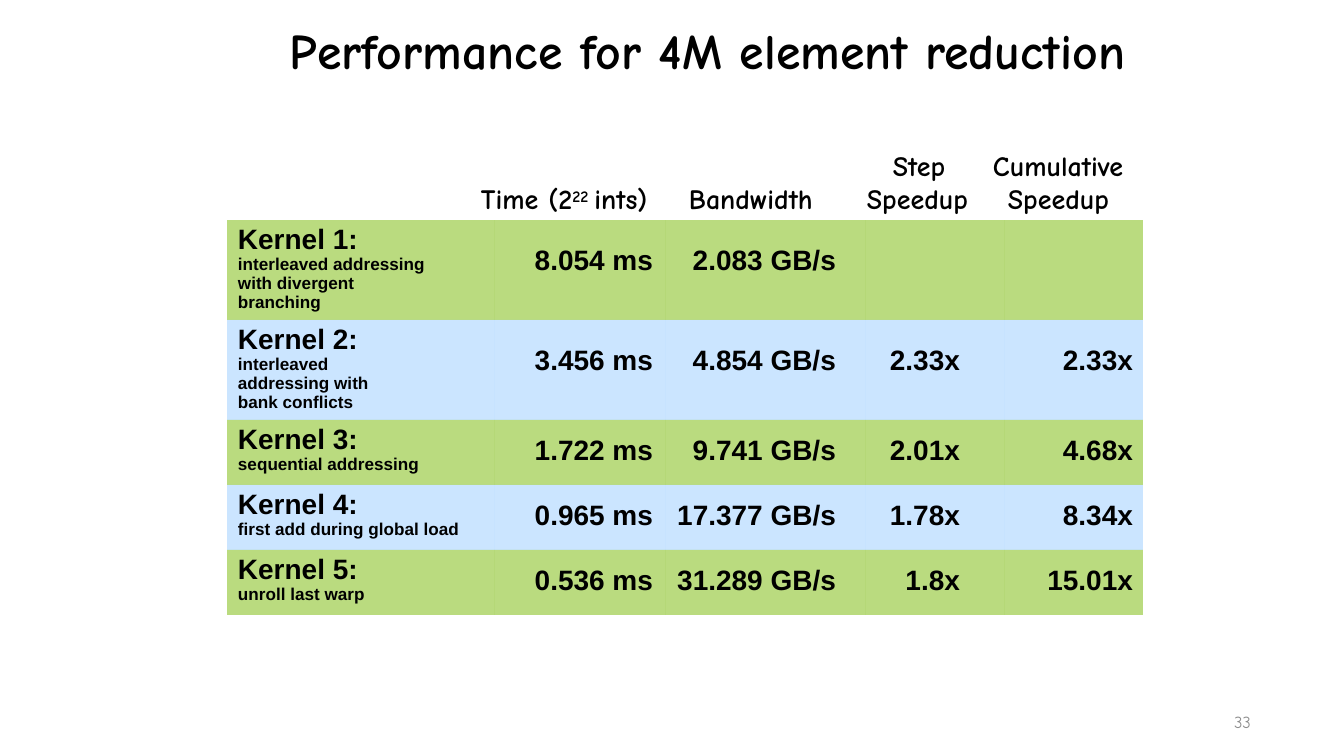
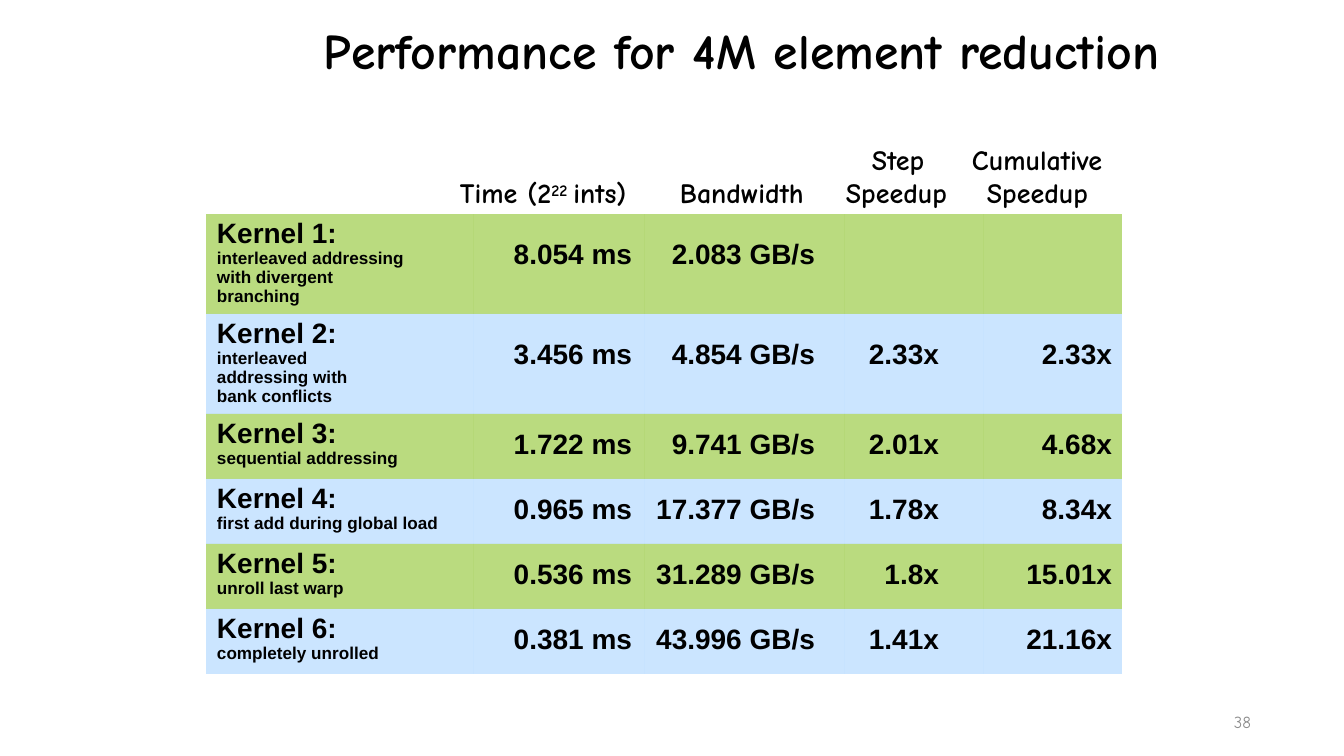
"""Build two slides that compare the speed of successive reduction kernels."""
import dataclasses

import pptx
import pptx.dml.color
import pptx.enum.text
import pptx.oxml
import pptx.oxml.ns
import pptx.util
from lxml import etree

PX = 914400 // 112
ALIGN = pptx.enum.text.PP_ALIGN
ANCHOR = pptx.enum.text.MSO_ANCHOR


@dataclasses.dataclass(frozen=True)
class Theme:
    heading_font: str = "Comic Neue"
    table_font: str = "Arial"
    black: str = "000000"
    grey: str = "8C8C8C"
    bands: tuple = ("76B800", "99CCFF")
    band_alpha: int = 50000
    title_size: float = 32
    body_size: float = 18
    detail_size: float = 11
    footer_size: float = 10.8
    plain_table: str = "{2D5ABB26-0587-4C30-8999-92F81FD0307C}"


theme = Theme()


def style(para, face, size, color=theme.black, bold=True, align=ALIGN.LEFT):
    para.alignment = align
    para.font.name = face
    para.font.size = pptx.util.Pt(size)
    para.font.bold = bold
    para.font.color.rgb = pptx.dml.color.RGBColor.from_string(color)


def add_text(page, bounds, spans, size, anchor=ANCHOR.TOP, margin=0, indent=0, **look):
    box = page.shapes.add_textbox(*(value * PX for value in bounds))
    frame = box.text_frame
    frame.word_wrap = True
    frame.vertical_anchor = anchor
    frame.margin_left = frame.margin_right = frame.margin_bottom = 0
    frame.margin_top = PX
    para = frame.paragraphs[0]
    properties = para._p.get_or_add_pPr()
    properties.set("marL", str(margin * PX))
    properties.set("indent", str(indent * PX))
    for text, baseline in spans:
        span = para.add_run()
        span.text = text
        if baseline:
            span.font._element.set("baseline", str(baseline))
    style(para, theme.heading_font, size, **look)
    return para


COLUMN_WIDTHS = (268, 171, 200, 139, 138)
VALUE_MARGINS = (13, 30, 45, 10)
TALL, SHORT = (100, 25), (65, 15)

KERNELS = (
    ("interleaved addressing with divergent branching", 65, TALL,
     ("8.054 ms", "2.083 GB/s", "", "")),
    ("interleaved addressing with bank conflicts", 97, TALL,
     ("3.456 ms", "4.854 GB/s", "2.33x", "2.33x")),
    ("sequential addressing", 0, SHORT,
     ("1.722 ms", "9.741 GB/s", "2.01x", "4.68x")),
    ("first add during global load", 0, SHORT,
     ("0.965 ms", "17.377 GB/s", "1.78x", "8.34x")),
    ("unroll last warp", 0, SHORT,
     ("0.536 ms", "31.289 GB/s", "1.8x", "15.01x")),
    ("completely unrolled", 0, SHORT,
     ("0.381 ms", "43.996 GB/s", "1.41x", "21.16x")),
)

SLIDES = (
    dict(number="33", title=(121, 1174), table=(227, 220), kernels=5, bandwidth=461),
    dict(number="38", title=(140, 1204), table=(206, 214), kernels=6, bandwidth=473),
)

deck = pptx.Presentation()
deck.slide_width = 1344 * PX
deck.slide_height = 756 * PX

for layout in SLIDES:
    page = deck.slides.add_slide(deck.slide_layouts[6])
    title_left, title_width = layout["title"]
    add_text(page, (title_left, 18, title_width, 62),
             [("Performance for 4M element reduction", 0)], theme.title_size,
             anchor=ANCHOR.MIDDLE, align=ALIGN.CENTER)

    left, top = layout["table"]
    kernels = KERNELS[:layout["kernels"]]
    height = sum(kernel[2][0] for kernel in kernels)
    holder = page.shapes.add_table(len(kernels), len(COLUMN_WIDTHS), left * PX, top * PX,
                                   sum(COLUMN_WIDTHS) * PX, height * PX)
    next(holder._element.iter(pptx.oxml.ns.qn("a:tableStyleId"))).text = theme.plain_table
    table = holder.table
    table.first_row = table.horz_banding = False
    for column, width in zip(table.columns, COLUMN_WIDTHS):
        column.width = width * PX

    for index, (detail, detail_margin, (row_height, value_top), values) in enumerate(kernels):
        row = table.rows[index]
        row.height = row_height * PX
        for cell in row.cells:
            cell.margin_left = cell.margin_right = cell.margin_bottom = 0
            cell.fill.solid()
            cell.fill.fore_color.rgb = pptx.dml.color.RGBColor.from_string(theme.bands[index % 2])
            shade = next(cell._tc.tcPr.iter(pptx.oxml.ns.qn("a:srgbClr")))
            etree.SubElement(shade, pptx.oxml.ns.qn("a:alpha")).set("val", str(theme.band_alpha))

        name_cell, *value_cells = row.cells
        name_cell.margin_left = 11 * PX
        name_cell.margin_top = 4 * PX
        name_cell.margin_right = detail_margin * PX
        name = name_cell.text_frame.paragraphs[0]
        name.text = f"Kernel {index + 1}:"
        style(name, theme.table_font, theme.body_size)
        note = name_cell.text_frame.add_paragraph()
        note.text = detail
        style(note, theme.table_font, theme.detail_size)

        for cell, value, margin in zip(value_cells, values, VALUE_MARGINS):
            cell.margin_top = value_top * PX
            cell.margin_right = margin * PX
            para = cell.text_frame.paragraphs[0]
            para.text = value
            style(para, theme.table_font, theme.body_size, align=ALIGN.RIGHT)

    headings = (
        ([("Step Speedup", 0)], 639, 73, 127, 1, 26),
        ([("Bandwidth", 0)], layout["bandwidth"], 39, 148, 1, 0),
        ([("Time (2", 0), ("22 ", 25000), ("ints)", 0)], 250, 39, 206, 4, 0),
        ([("Cumulative Speedup", 0)], 765, 73, 156, 16, -15),
    )
    for spans, offset, rise, width, margin, indent in headings:
        add_text(page, (left + offset, top - rise, width, rise - 4), spans,
                 theme.body_size, margin=margin, indent=indent)

    footer = add_text(page, (949, 710, 302, 21), [(layout["number"], 0)], theme.footer_size,
                      anchor=ANCHOR.MIDDLE, color=theme.grey, bold=False, align=ALIGN.RIGHT)
    footer.line_spacing = pptx.util.Pt(14.2)

deck.save("out.pptx")
